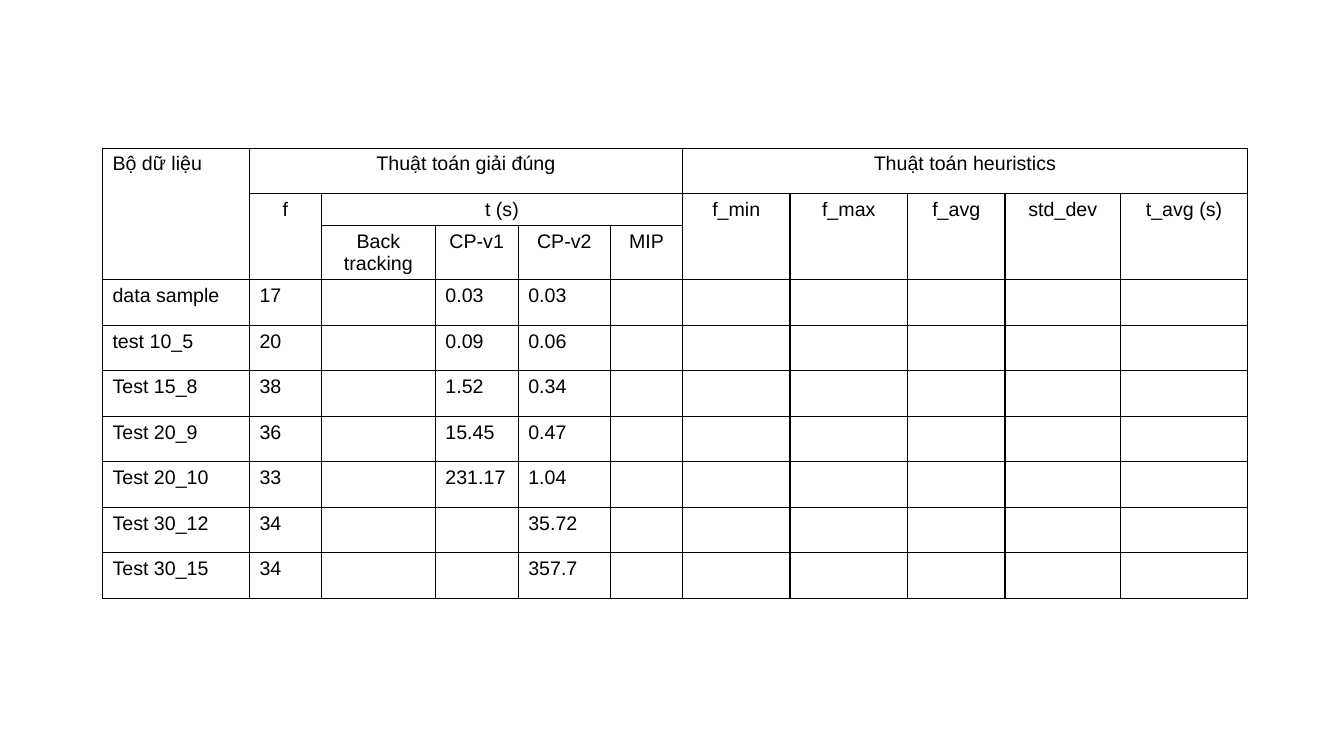
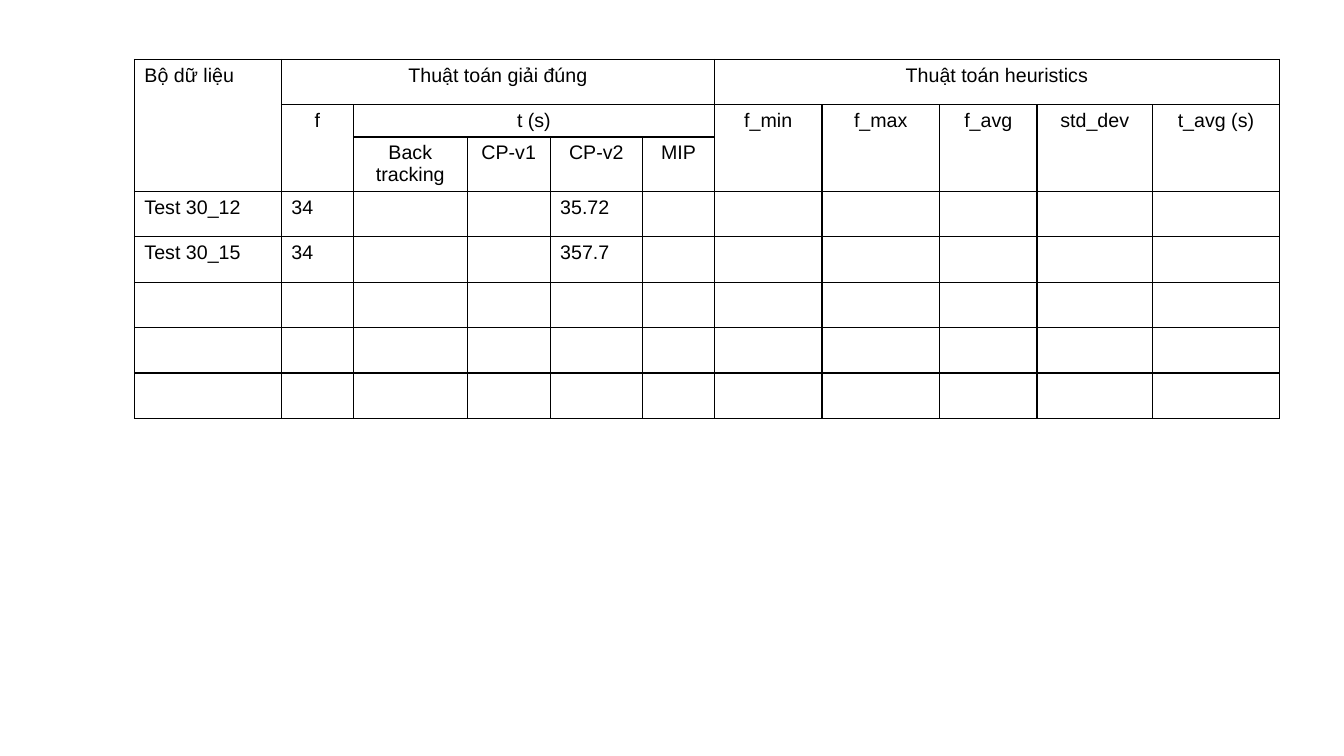
import pptx
import pptx.util
import pptx.dml.color
import pptx.enum.text
import lxml.etree

Pt = pptx.util.Pt
COLORS = {"text": "000000", "border": "000000"}
FONT, FONT_SIZE, BORDER_WIDTH = "Arial", 14, 1

# Header cells: row, column, rows spanned, columns spanned, text
HEADERS = [
    (0, 0, 3, 1, "Bộ dữ liệu"),
    (0, 1, 1, 5, "Thuật toán giải đúng"),
    (0, 6, 1, 5, "Thuật toán heuristics"),
    (1, 1, 2, 1, "f"),
    (1, 2, 1, 4, "t (s)"),
    (1, 6, 2, 1, "f_min"),
    (1, 7, 2, 1, "f_max"),
    (1, 8, 2, 1, "f_avg"),
    (1, 9, 2, 1, "std_dev"),
    (1, 10, 2, 1, "t_avg (s)"),
    (2, 2, 1, 1, "Back tracking"),
    (2, 3, 1, 1, "CP-v1"),
    (2, 4, 1, 1, "CP-v2"),
    (2, 5, 1, 1, "MIP"),
]
# Results: data set, f, Back tracking, CP-v1, CP-v2
LARGE_TESTS = [
    ("Test 30_12", "34", "", "", "35.72"),
    ("Test 30_15", "34", "", "", "357.7"),
]
ALL_TESTS = [
    ("data sample", "17", "", "0.03", "0.03"),
    ("test 10_5", "20", "", "0.09", "0.06"),
    ("Test 15_8", "38", "", "1.52", "0.34"),
    ("Test 20_9", "36", "", "15.45", "0.47"),
    ("Test 20_10", "33", "", "231.17", "1.04"),
] + LARGE_TESTS
# Slides: table left, table top, results, empty rows below
SLIDES = [
    (73.2, 105.8, ALL_TESTS, 0),
    (96, 42.4, LARGE_TESTS, 3),
]
COLUMN_WIDTHS = [105, 51.4, 81.4, 59.2, 66, 51.4, 76.8, 84, 69.6, 82.6, 90.6]
HEADER_HEIGHTS = [32.5, 22.8, 38.5]
ROW_HEIGHT = 32.5


def style_cell(cell):
    """Give a cell four thin borders, no fill and the table font."""
    tc_pr = cell._tc.get_or_add_tcPr()
    ns = "{http://schemas.openxmlformats.org/drawingml/2006/main}"
    for side in "LRTB":
        line = lxml.etree.SubElement(tc_pr, f"{ns}ln{side}", w=str(Pt(BORDER_WIDTH)))
        fill = lxml.etree.SubElement(line, f"{ns}solidFill")
        lxml.etree.SubElement(fill, f"{ns}srgbClr", val=COLORS["border"])
    cell.fill.background()
    font = cell.text_frame.paragraphs[0].font
    font.name, font.size = FONT, Pt(FONT_SIZE)
    font.color.rgb = pptx.dml.color.RGBColor.from_string(COLORS["text"])


def add_headers(table):
    """Merge and fill the three header rows."""
    for row, col, row_span, col_span, text in HEADERS:
        cell = table.cell(row, col)
        if row_span * col_span > 1:
            cell.merge(table.cell(row + row_span - 1, col + col_span - 1))
        p = cell.text_frame.paragraphs[0]
        p.add_run().text = text
        if col > 0:
            p.alignment = pptx.enum.text.PP_ALIGN.CENTER


def add_results_table(s, left, top, results, empty_rows):
    """Add a results table with its headers and empty rows to slide s."""
    heights = HEADER_HEIGHTS + [ROW_HEIGHT] * (len(results) + empty_rows)
    table = s.shapes.add_table(
        len(heights), len(COLUMN_WIDTHS), Pt(left), Pt(top),
        Pt(sum(COLUMN_WIDTHS)), Pt(sum(heights))).table
    table.first_row = table.horz_banding = False
    for column, width in zip(table.columns, COLUMN_WIDTHS):
        column.width = Pt(width)
    for row, height in zip(table.rows, heights):
        row.height = Pt(height)
    for cell in table.iter_cells():
        style_cell(cell)
    add_headers(table)
    for row, values in enumerate(results, len(HEADER_HEIGHTS)):
        for col, value in enumerate(values):
            if value:
                p = table.cell(row, col).text_frame.paragraphs[0]
                p.add_run().text = value


prs = pptx.Presentation()
prs.slide_width, prs.slide_height = Pt(960), Pt(540)
for left, top, results, empty_rows in SLIDES:
    s = prs.slides.add_slide(prs.slide_layouts[6])
    add_results_table(s, left, top, results, empty_rows)
prs.save("out.pptx")
